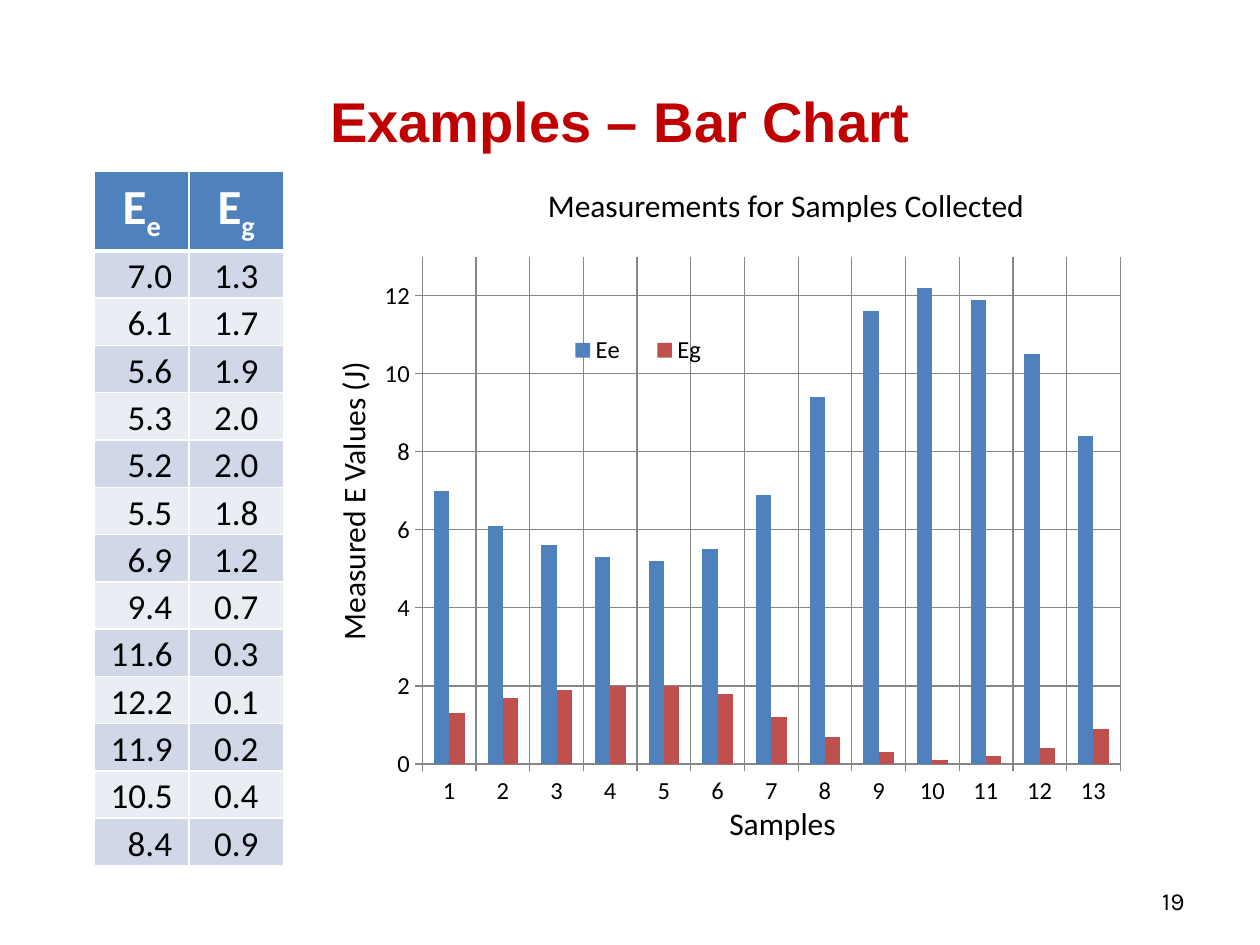
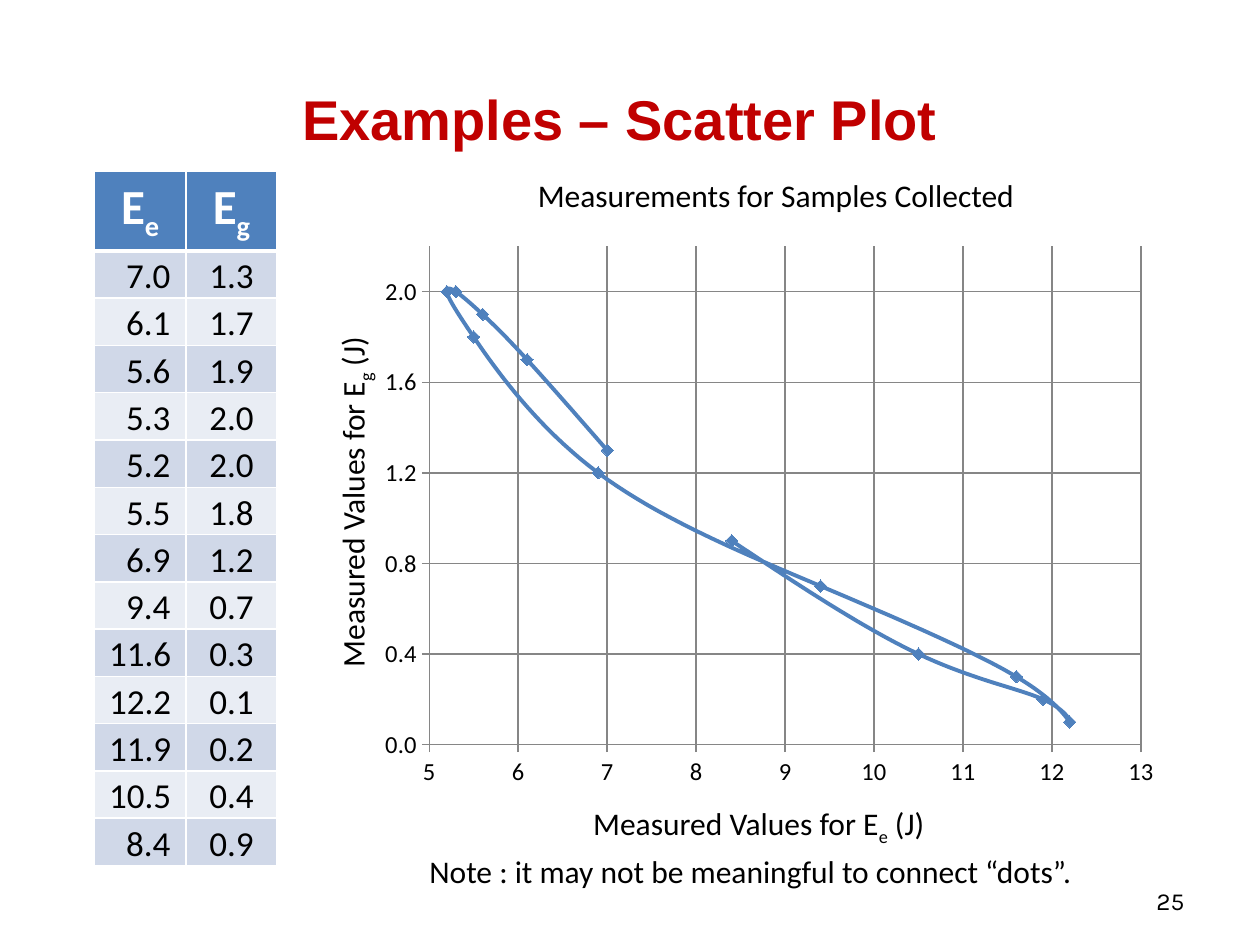
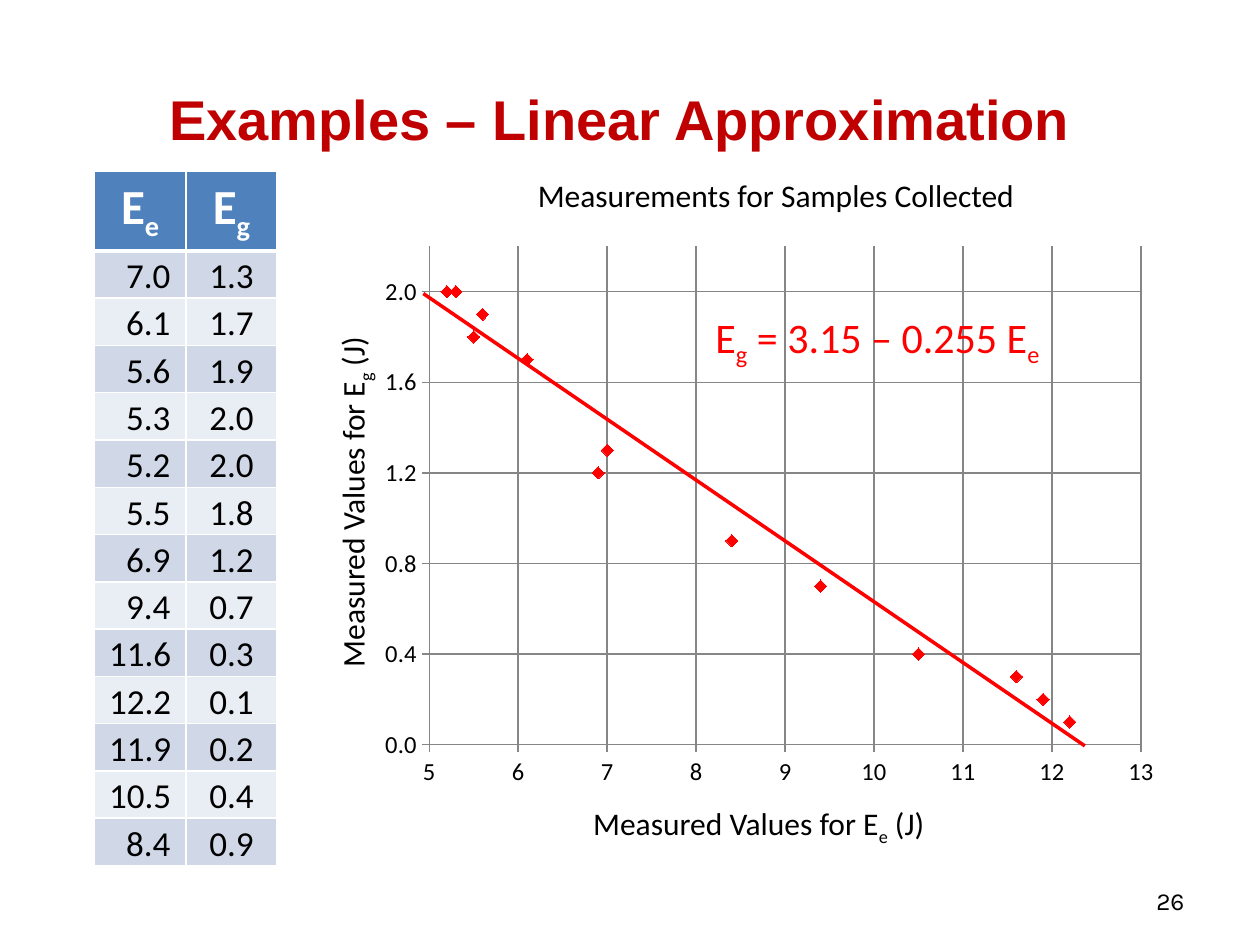
"""Build three slides that show one set of samples as bars, a scatter plot and a line fit."""
from lxml import etree
from pptx import Presentation
from pptx import util as u
from pptx.chart import data
from pptx.dml.color import RGBColor
from pptx.enum import chart as kinds, shapes, text
from pptx.oxml import ns, parse_xml

hue = RGBColor.from_string
BLUE, RED, GREY = "4F81BD", "FF0000", "868686"
BANDS = ["E9EDF4", "D0D8E8"]
LEFT, MID, RIGHT = text.PP_ALIGN.LEFT, text.PP_ALIGN.CENTER, text.PP_ALIGN.RIGHT
COLS = kinds.XL_CHART_TYPE.COLUMN_CLUSTERED
CURVE = kinds.XL_CHART_TYPE.XY_SCATTER_SMOOTH
DOTS = kinds.XL_CHART_TYPE.XY_SCATTER
EE = [7, 6.1, 5.6, 5.3, 5.2, 5.5, 6.9, 9.4, 11.6, 12.2, 11.9, 10.5, 8.4]
EG = [1.3, 1.7, 1.9, 2, 2, 1.8, 1.2, 0.7, 0.3, 0.1, 0.2, 0.4, 0.9]
HEAD = "Measurements for Samples Collected"
XNAME, YNAME = "Measured Values for E_e (J)", "Measured Values for E_g (J)"

deck = Presentation()
deck.slide_width, deck.slide_height = u.Inches(10), u.Inches(7.5)


def write(frame, words, size=18, font="Calibri", tone="000000", bold=False, align=LEFT):
    """Fill a frame with one paragraph; an underscore lowers the next letter."""
    para = frame.paragraphs[0]
    para.alignment = align
    first, *rest = words.split("_")
    parts = [(first, False)]
    for bit in rest:
        parts += [(bit[0], True), (bit[1:], False)]
    for bit, low in parts:
        if bit:
            run = para.add_run()
            run.text = bit
            run.font.size, run.font.name, run.font.bold = u.Pt(size), font, bold
            run.font.color.rgb = hue(tone)
            if low:
                run.font._element.set("baseline", "-25000")


def box(slide, at, words, turn=0, wrap=False, middle=False, **style):
    """Add a text box at a place given in inches."""
    shape = slide.shapes.add_textbox(*map(u.Inches, at))
    shape.rotation = turn
    frame = shape.text_frame
    frame.word_wrap = wrap
    if middle:
        frame.vertical_anchor = text.MSO_ANCHOR.MIDDLE
    else:
        frame.auto_size = text.MSO_AUTO_SIZE.SHAPE_TO_FIT_TEXT
    write(frame, words, **style)


pages = [
    dict(no="19", name="Bar Chart", top=0.33, wide=1.5, kind=COLS,
         at=(3, 1.91, 6.08, 4.58), plot=(0.058, 0.028, 0.911, 0.879),
         head=(4.25, 1.43, 4, 0.4), ends=(0, 13, 2), form="0",
         side=("Measured E Values (J)", 1.58, 2.44), foot=("Samples", 5.69, 1.06)),
    dict(no="25", name="Scatter Plot", kind=CURVE),
    dict(no="26", name="Linear Approximation", kind=DOTS),
]
plain = dict(top=0.31, wide=1.45, at=(3, 1.83, 6.25, 4.5),
             plot=(0.065, 0.028, 0.904, 0.879), head=(4.17, 1.35, 4, 0.4),
             ends=(0, 2.2, 0.4), form="0.0",
             side=(YNAME, 1.36, 2.87), foot=(XNAME, 4.61, 2.87))

for page in pages:
    page = {**plain, **page}
    kind = page["kind"]
    slide = deck.slides.add_slide(deck.slide_layouts[6])
    box(slide, (7.17, 6.95, 2.33, 0.4), page["no"], wrap=True, middle=True,
        size=14, font="Karla", align=RIGHT)
    box(slide, (0.67, page["top"], 8.5, 1.25), "Examples – " + page["name"], wrap=True,
        middle=True, size=32, font="Arial", tone="C00000", bold=True, align=MID)

    rows = [("E_e", "E_g")] + [(f"{a:.1f}", f"{b:.1f}") for a, b in zip(EE, EG)]
    size = (0.75, 1.36, page["wide"], 5.43)
    grid = slide.shapes.add_table(len(rows), 2, *map(u.Inches, size)).table
    for col in grid.columns:
        col.width = u.Inches(page["wide"] / 2)
    for r, row in enumerate(rows):
        grid.rows[r].height = u.Inches((5.43 - 0.55) / len(EE) if r else 0.55)
        for c, words in enumerate(row):
            cell = grid.cell(r, c)
            props = cell._tc.get_or_add_tcPr()
            for edge in "LRTB":
                thick = 3 if (r, edge) in [(0, "B"), (1, "T")] else 1
                props.append(parse_xml(
                    f'<a:ln{edge} {ns.nsdecls("a")} w="{u.Pt(thick)}"><a:solidFill>'
                    f'<a:srgbClr val="FFFFFF"/></a:solidFill></a:ln{edge}>'))
            cell.fill.solid()
            cell.fill.fore_color.rgb = hue(BANDS[r % 2] if r else BLUE)
            if r:
                cell.vertical_anchor = text.MSO_ANCHOR.BOTTOM
                short = c == 0 and len(words) < 4
                cell.margin_left = u.Inches(0.14 if short else 0.01)
                cell.margin_right = cell.margin_top = u.Inches(0.01)
                cell.margin_bottom = 0
                write(cell.text_frame, words, size=20, align=MID)
            else:
                write(cell.text_frame, words, size=28, tone="FFFFFF", bold=True, align=MID)

    box(slide, page["head"], HEAD, wrap=True)
    words, left, wide = page["side"]
    box(slide, (left, 3.76, wide, 0.4), words, turn=270)
    words, left, wide = page["foot"]
    box(slide, (left, 6.33, wide, 0.4), words)

    if kind == COLS:
        facts = data.CategoryChartData()
        facts.categories = [str(n + 1) for n in range(len(EE))]
        facts.add_series("Ee", EE)
        facts.add_series("Eg", EG)
    else:
        facts = data.XyChartData()
        dots = facts.add_series("Series 1")
        for a, b in zip(EE, EG):
            dots.add_data_point(a, b)
    chart = slide.shapes.add_chart(kind, *map(u.Inches, page["at"]), facts).chart
    chart.has_title = False
    chart.font.name, chart.font.size = "Calibri", u.Pt(14)
    chart.font.color.rgb = hue("000000")
    across, up = chart.category_axis, chart.value_axis
    for axis in (across, up):
        axis.has_major_gridlines = True
        axis.major_tick_mark = kinds.XL_TICK_MARK.OUTSIDE
        axis.minor_tick_mark = kinds.XL_TICK_MARK.NONE
        for line in (axis.format.line, axis.major_gridlines.format.line):
            line.color.rgb, line.width = hue(GREY), u.Pt(0.75)
    scales = [(up, page["ends"], page["form"])]
    if kind != COLS:
        scales.append((across, (5, 13, 1), "0"))
    for axis, (low, high, step), form in scales:
        axis.minimum_scale, axis.maximum_scale, axis.major_unit = low, high, step
        axis.tick_labels.number_format = form
        axis.tick_labels.number_format_is_linked = False

    plot = chart.plots[0]
    plot.vary_by_categories = False
    chart.has_legend = kind == COLS
    area = chart._chartSpace.find(".//" + ns.qn("c:plotArea"))
    spots = [(area, 0, page["plot"], '<c:layoutTarget val="inner"/>')]
    if kind == COLS:
        plot.gap_width, plot.overlap = 150, 0
        for bars, tone in zip(plot.series, (BLUE, "C0504D")):
            bars.format.fill.solid()
            bars.format.fill.fore_color.rgb = hue(tone)
        chart.legend.position = kinds.XL_LEGEND_POSITION.RIGHT
        chart.legend.include_in_layout = True
        spots.append((chart.legend._element, 1, (0.22, 0.15, 0.24, 0.08), ""))
    else:
        tone = BLUE if kind == CURVE else RED
        dots = plot.series[0]
        if kind == CURVE:
            dots.format.line.color.rgb, dots.format.line.width = hue(tone), u.Pt(2.25)
        else:
            dots.format.line.fill.background()
        dots._element.find(ns.qn("c:smooth")).set("val", str(int(kind == CURVE)))
        dots.marker.style, dots.marker.size = kinds.XL_MARKER_STYLE.DIAMOND, 7
        dots.marker.format.fill.solid()
        dots.marker.format.fill.fore_color.rgb = hue(tone)
        dots.marker.format.line.color.rgb = hue(tone)
    for part, rank, spot, aim in spots:
        for old in part.findall(ns.qn("c:layout")):
            part.remove(old)
        sides = "".join(f'<c:{key} val="{val}"/>' for key, val in zip("xywh", spot))
        part.insert(rank, parse_xml(
            f'<c:layout {ns.nsdecls("c")}><c:manualLayout>{aim}<c:xMode val="edge"/>'
            f'<c:yMode val="edge"/>{sides}</c:manualLayout></c:layout>'))

    if kind == CURVE:
        box(slide, (3.31, 6.71, 5.36, 0.4),
            "Note : it may not be meaningful to connect “dots”.")
    if kind == DOTS:
        ends = map(u.Inches, (3.36, 2.33, 8.61, 5.92))
        trend = slide.shapes.add_connector(shapes.MSO_CONNECTOR.STRAIGHT, *ends)
        trend.line.color.rgb, trend.line.width = hue(RED), u.Pt(2)
        etree.SubElement(trend._element.spPr, ns.qn("a:effectLst"))
        box(slide, (5.58, 2.42, 2.92, 0.5), "E_g = 3.15 – 0.255 E_e", size=24, tone=RED)

deck.save("out.pptx")
